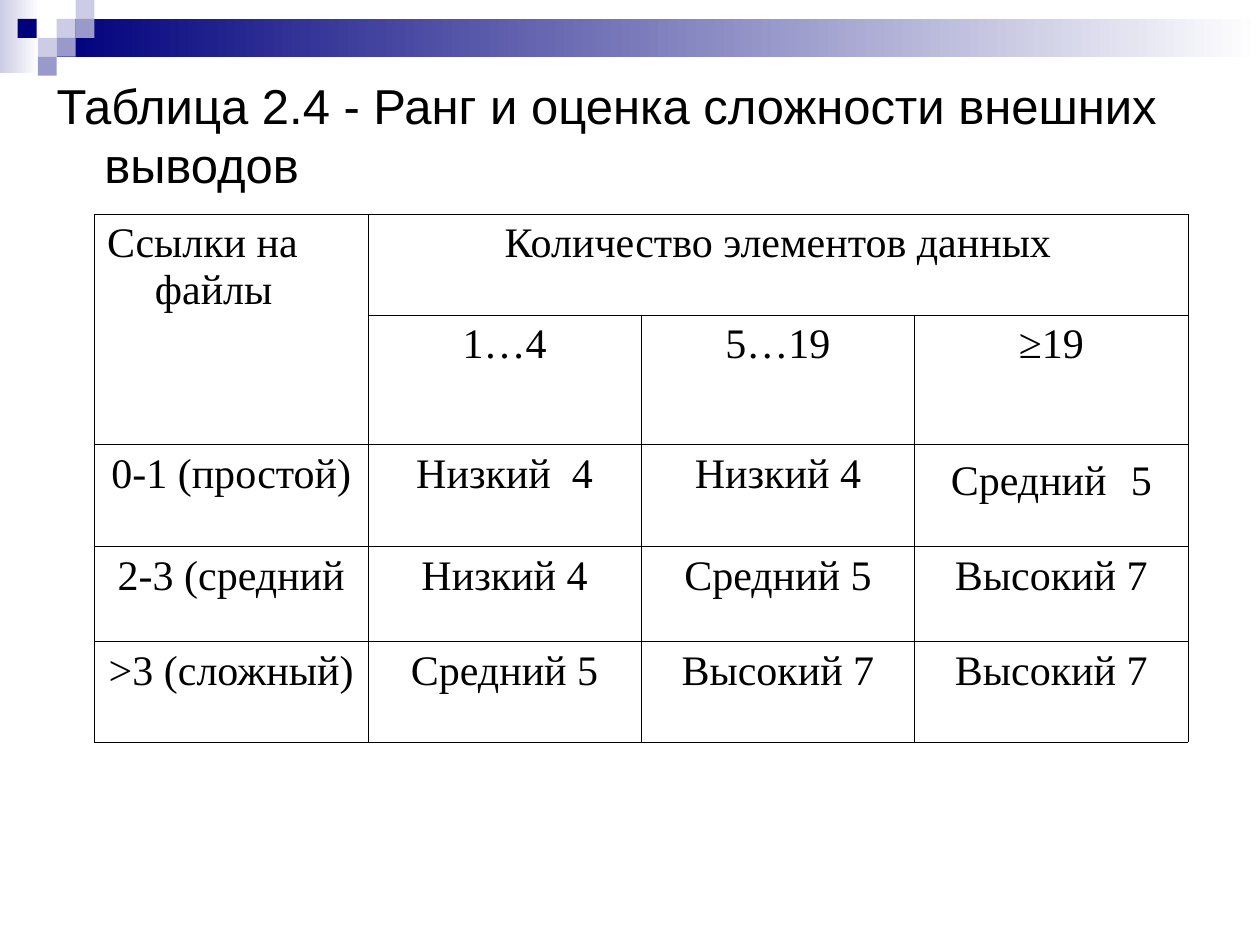
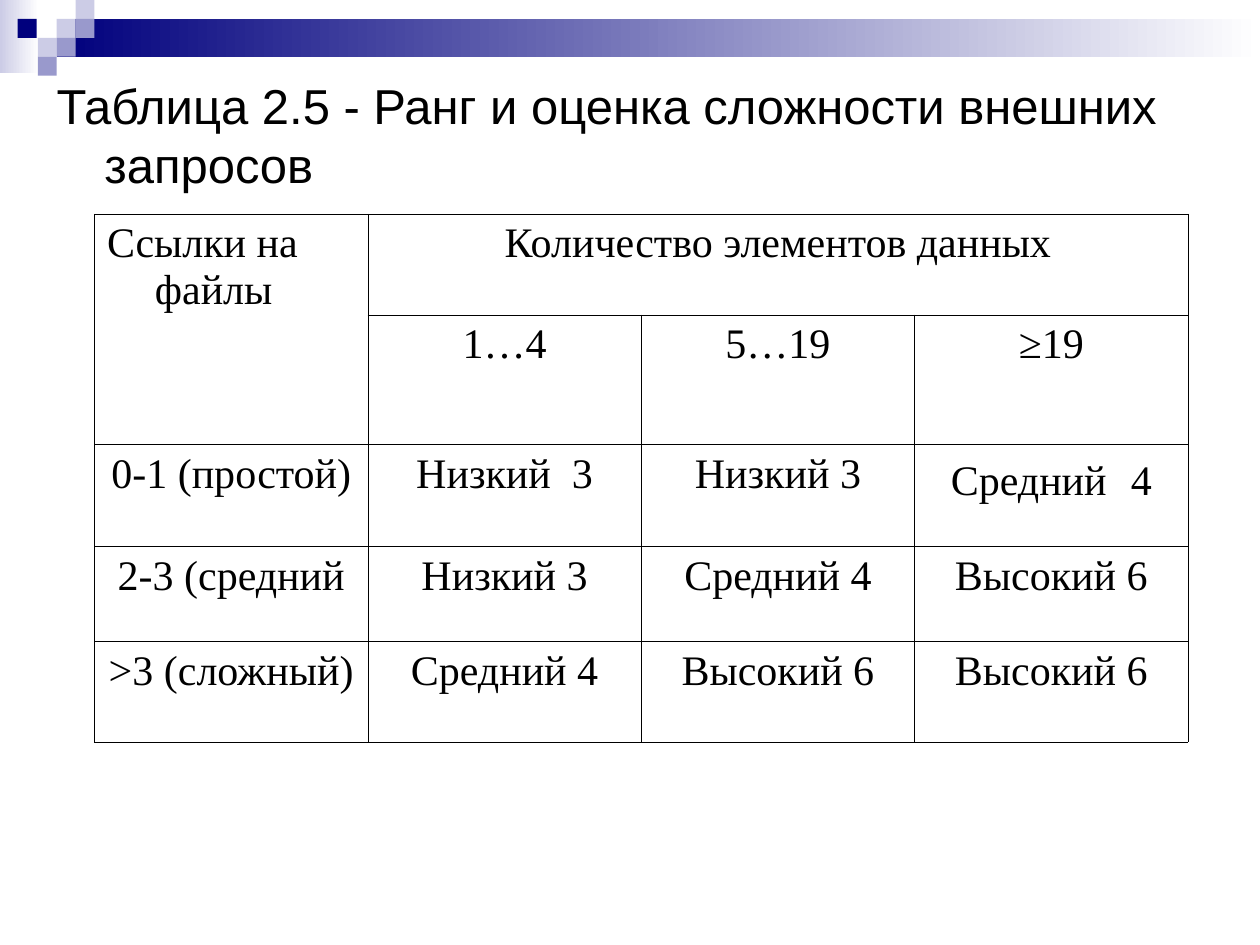
from dataclasses import dataclass

from lxml.etree import fromstring
from pptx import Presentation
from pptx.dml.color import RGBColor
from pptx.enum.shapes import MSO_SHAPE
from pptx.enum.text import MSO_ANCHOR, PP_ALIGN
from pptx.oxml.ns import nsdecls
from pptx.util import Inches, Pt


@dataclass(frozen=True)
class Theme:
    ink: str = "000000"
    white: str = "FFFFFF"
    navy: str = "00007D"
    mid: str = "9999CC"
    pale: str = "CCCCE6"
    head: str = "Arial"
    body: str = "Times New Roman"
    large: int = 28
    small: int = 24
    border: float = 0.45
    hang: float = 0.38


theme = Theme()


def write(frame, text, font=theme.body, size=theme.small, align=PP_ALIGN.CENTER):
    """Fill a frame with one hanging paragraph; text is a string or (text, font, size) runs."""
    frame.word_wrap = True
    par = frame.paragraphs[0]
    par.alignment = align
    props = par._p.get_or_add_pPr()
    props.set("marL", str(Inches(theme.hang)))
    props.set("indent", str(-Inches(theme.hang)))
    runs = [(text, font, size)] if isinstance(text, str) else text
    for words, face, points in runs:
        run = par.add_run()
        run.text = words
        run.font.name = face
        run.font.size = Pt(points)
        run.font.color.rgb = RGBColor.from_string(theme.ink)


def block(slide, left, top, width, height, *colours):
    """Draw a rectangle; two colours make a gradient running from right to left."""
    box = slide.shapes.add_shape(
        MSO_SHAPE.RECTANGLE, Inches(left), Inches(top), Inches(width), Inches(height))
    box.shadow.inherit = False
    box.line.fill.background()
    if len(colours) == 1:
        box.fill.solid()
        box.fill.fore_color.rgb = RGBColor.from_string(colours[0])
        return
    box.fill.gradient()
    box.fill.gradient_angle = 180
    for stop, colour in zip(box.fill.gradient_stops, colours):
        stop.color.rgb = RGBColor.from_string(colour)


unit = 0.15
tiles = [
    (0.45, 0.15, theme.pale), (0.6, 0, theme.pale), (0.6, 0.15, theme.mid),
    (0.3, 0.3, theme.pale), (0.14, 0.15, theme.navy),
    (0.45, 0.3, theme.mid), (0.3, 0.45, theme.mid),
]
heights = [0.8, 1.03, 0.81, 0.75, 0.8]
width = 2.17
topics = [
    ("Таблица 2.4 - Ранг и оценка сложности внешних выводов", 4, 5, 7),
    ("Таблица 2.5 - Ранг и оценка сложности внешних запросов", 3, 4, 6),
]

deck = Presentation()
deck.slide_width, deck.slide_height = Inches(10), Inches(7.5)

for title, low, mean, high in topics:
    slide = deck.slides.add_slide(deck.slide_layouts[6])
    block(slide, 0, 0, 0.31, 0.58, theme.white, theme.pale)
    block(slide, 0.45, 0.15, 9.55, 0.3, theme.white, theme.navy)
    for left, top, colour in tiles:
        block(slide, left, top, unit, unit, colour)

    frame = slide.shapes.add_textbox(
        Inches(0.35), Inches(0.52), Inches(9.45), Inches(1.1)).text_frame
    frame.vertical_anchor = MSO_ANCHOR.MIDDLE
    write(frame, title, font=theme.head, size=theme.large, align=PP_ALIGN.LEFT)

    mixed = [("Средний", theme.body, theme.small), (" ", theme.head, theme.large),
             (f" {mean}", theme.body, theme.small)]
    rows = [
        ["Ссылки на файлы", "Количество элементов данных", None, None],
        [None, "1…4", "5…19", "≥19"],
        ["0-1 (простой)", f"Низкий  {low}", f"Низкий {low}", mixed],
        ["2-3 (средний", f"Низкий {low}", f"Средний {mean}", f"Высокий {high}"],
        [">3 (сложный)", f"Средний {mean}", f"Высокий {high}", f"Высокий {high}"],
    ]
    grid = slide.shapes.add_table(
        len(rows), 4, Inches(0.75), Inches(1.7),
        Inches(4 * width), Inches(sum(heights))).table
    grid.first_row = grid.horz_banding = False
    for col in grid.columns:
        col.width = Inches(width)
    for row, height in zip(grid.rows, heights):
        row.height = Inches(height)
    grid.cell(0, 0).merge(grid.cell(1, 0))
    grid.cell(0, 1).merge(grid.cell(0, 3))

    for r, row in enumerate(rows):
        for c, text in enumerate(row):
            cell = grid.cell(r, c)
            cell.fill.background()
            for place, side in enumerate("LRTB"):
                line = fromstring(
                    f'<a:ln{side} {nsdecls("a")} w="{Pt(theme.border)}"><a:solidFill>'
                    f'<a:srgbClr val="{theme.ink}"/></a:solidFill></a:ln{side}>')
                cell._tc.get_or_add_tcPr().insert(place, line)
            if text:
                first = r == c == 0
                write(cell.text_frame, text,
                      align=PP_ALIGN.LEFT if first else PP_ALIGN.CENTER)

deck.save("out.pptx")
